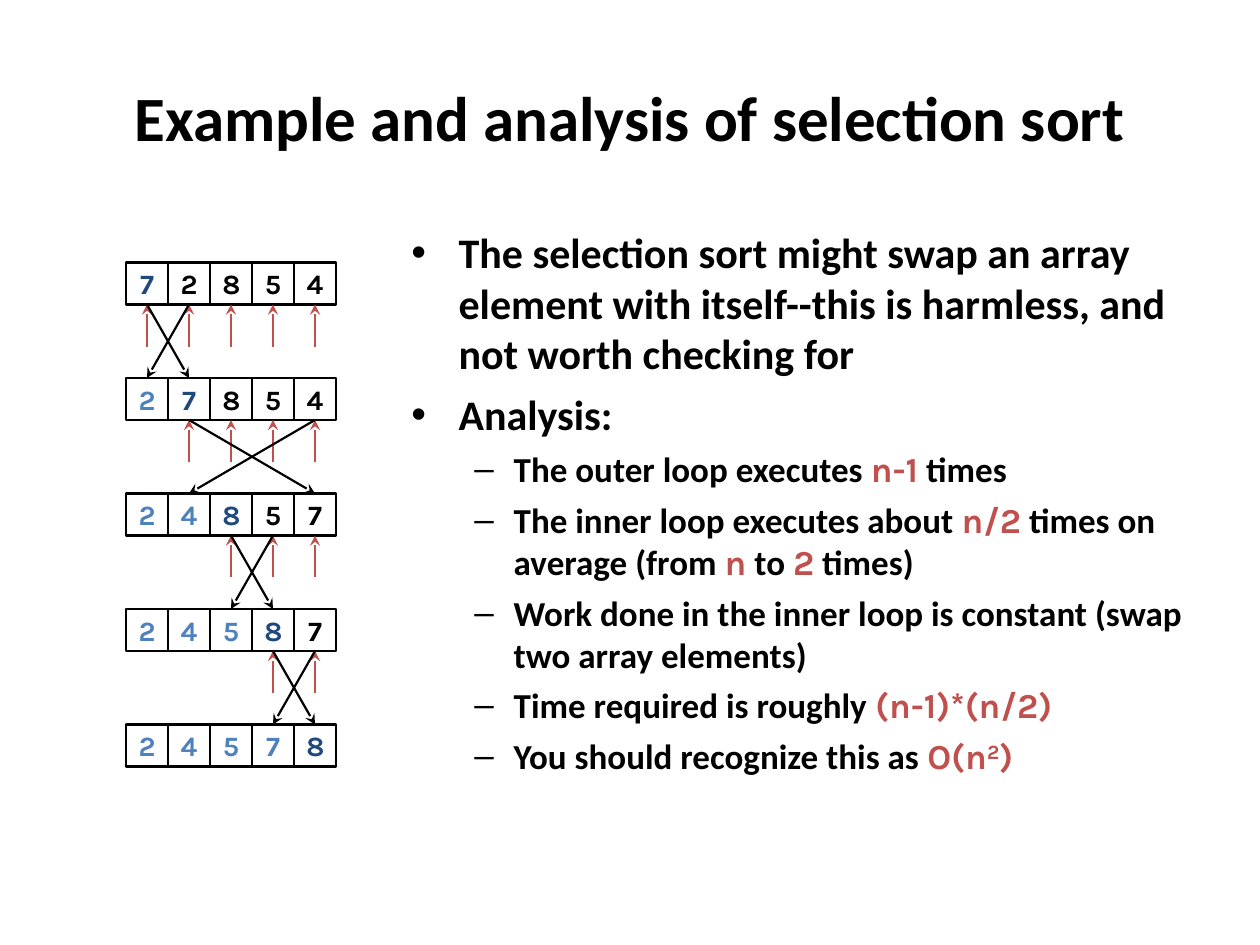
from dataclasses import dataclass

from lxml import etree
from pptx import Presentation
from pptx.dml.color import RGBColor
from pptx.enum import shapes, text
from pptx.oxml.ns import qn
from pptx.util import Pt


@dataclass(frozen=True)
class Theme:
    body_font: str = "Calibri"
    code_font: str = "Karla"
    ink: str = "000000"
    red: str = "C0504D"
    current: str = "1F497D"
    sorted: str = "4F81BD"
    title_size: int = 36
    cell_size: int = 16
    cell_line: float = 1.5
    arrow_line: float = 1.25


THEME = Theme()
TITLE = "Example and analysis of selection sort"
VALUES = [7, 2, 8, 5, 4]
# Level and text: `code` is set in red, ^raised^ inside code is superscript.
BULLETS = [
    (0, "The selection sort might swap an array element with itself--this is "
        "harmless, and not worth checking for"),
    (0, "Analysis:"),
    (1, "The outer loop executes `n-1` times"),
    (1, "The inner loop executes about `n/2` times on average (from `n` to `2` times)"),
    (1, "Work done in the inner loop is constant (swap two array elements)"),
    (1, "Time required is roughly `(n-1)*(n/2)`"),
    (1, "You should recognize this as `O(n^2^)`"),
]
LEVELS = [
    dict(size=24, left=27, hang=27, before=6, bullet="•"),
    dict(size=20, left=58.5, hang=22.5, before=5, bullet="–"),
]
LEFT, TOP, CELL, PITCH, POINTER = 72, 150, 24, 66, 24


def style(r, size, font, color):
    r.font.size, r.font.name, r.font.bold = Pt(size), font, True
    r.font.color.rgb = RGBColor.from_string(color)


def add_text_box(s, x, y, w, h):
    tf = s.shapes.add_textbox(Pt(x), Pt(y), Pt(w), Pt(h)).text_frame
    tf.word_wrap = True
    return tf


def set_bullet(p, level):
    look = LEVELS[level]
    p.level = level
    pPr = p._p.get_or_add_pPr()
    pPr.set("marL", str(Pt(look["left"])))
    pPr.set("indent", str(-Pt(look["hang"])))
    color = etree.SubElement(pPr, qn("a:buClr"))
    etree.SubElement(color, qn("a:srgbClr"), val=THEME.ink)
    etree.SubElement(pPr, qn("a:buFont"), typeface="Arial")
    etree.SubElement(pPr, qn("a:buChar"), char=look["bullet"])


def add_runs(p, marked, size):
    for i, part in enumerate(marked.split("`")):
        is_code = i % 2 == 1
        for j, piece in enumerate(part.split("^")):
            if not piece:
                continue
            r = p.add_run()
            r.text = piece
            if is_code:
                style(r, size, THEME.code_font, THEME.red)
            else:
                style(r, size, THEME.body_font, THEME.ink)
            if j % 2:
                r.font._element.set("baseline", "30000")


def add_arrow(parent, start, end, color):
    c = parent.add_connector(shapes.MSO_CONNECTOR.STRAIGHT, *start, *end)
    c.line.color.rgb = RGBColor.from_string(color)
    c.line.width = Pt(THEME.arrow_line)
    etree.SubElement(c.line._get_or_add_ln(), qn("a:tailEnd"), type="stealth")
    etree.SubElement(c._element.spPr, qn("a:effectLst"))
    return c


def bottom(cell):
    return cell.left + cell.width // 2, cell.top + cell.height


def add_row(group, values, step):
    """Draw the array before pass number step; return its cells."""
    cells = []
    for col, value in enumerate(values):
        sp = group.add_shape(shapes.MSO_SHAPE.FLOWCHART_PROCESS, Pt(LEFT + col * CELL),
                             Pt(TOP + step * PITCH), Pt(CELL), Pt(CELL))
        sp.shadow.inherit = False
        sp.fill.background()
        sp.line.color.rgb = RGBColor.from_string(THEME.ink)
        sp.line.width = Pt(THEME.cell_line)
        tf = sp.text_frame
        tf.text = str(value)
        tf.vertical_anchor = text.MSO_ANCHOR.MIDDLE
        p = tf.paragraphs[0]
        p.alignment = text.PP_ALIGN.CENTER
        color = (THEME.sorted if col < step else
                 THEME.current if col == step else THEME.ink)
        style(p.runs[0], THEME.cell_size, THEME.code_font, color)
        cells.append(sp)
    return cells


def add_swap(group, above, below, a, b):
    for src, dst in ((a, b), (b, a)):
        target = below[dst]
        c = add_arrow(group, bottom(above[src]),
                      (target.left + target.width // 2, target.top), THEME.ink)
        c.begin_connect(above[src], 2)
        c.end_connect(target, 0)


def add_pointers(s, cells):
    for cell in cells:
        x, y = bottom(cell)
        c = add_arrow(s.shapes, (x, y + Pt(POINTER)), (x, y), THEME.red)
        c.end_connect(cell, 2)


def add_sort_diagram(s):
    values, above, smallest = list(VALUES), None, None
    for step in range(len(values)):
        group = s.shapes.add_group_shape().shapes
        cells = add_row(group, values, step)
        if above:
            add_swap(group, above, cells, step - 1, smallest)
        if step < len(values) - 1:
            add_pointers(s, cells[step:])
        smallest = values.index(min(values[step:]))
        values[step], values[smallest] = values[smallest], values[step]
        above = cells


def main():
    prs = Presentation()
    prs.slide_width, prs.slide_height = Pt(720), Pt(540)
    s = prs.slides.add_slide(prs.slide_layouts[6])

    tf = add_text_box(s, 36, 21.6, 648, 90)
    tf.text = TITLE
    tf.vertical_anchor = text.MSO_ANCHOR.MIDDLE
    p = tf.paragraphs[0]
    p.alignment = text.PP_ALIGN.CENTER
    style(p.runs[0], THEME.title_size, THEME.body_font, THEME.ink)

    tf = add_text_box(s, 228, 126, 462, 384)
    for i, (level, marked) in enumerate(BULLETS):
        p = tf.add_paragraph() if i else tf.paragraphs[0]
        p.space_before = Pt(LEVELS[level]["before"] if i else 0)
        set_bullet(p, level)
        add_runs(p, marked, LEVELS[level]["size"])

    add_sort_diagram(s)
    prs.save("out.pptx")


if __name__ == "__main__":
    main()
